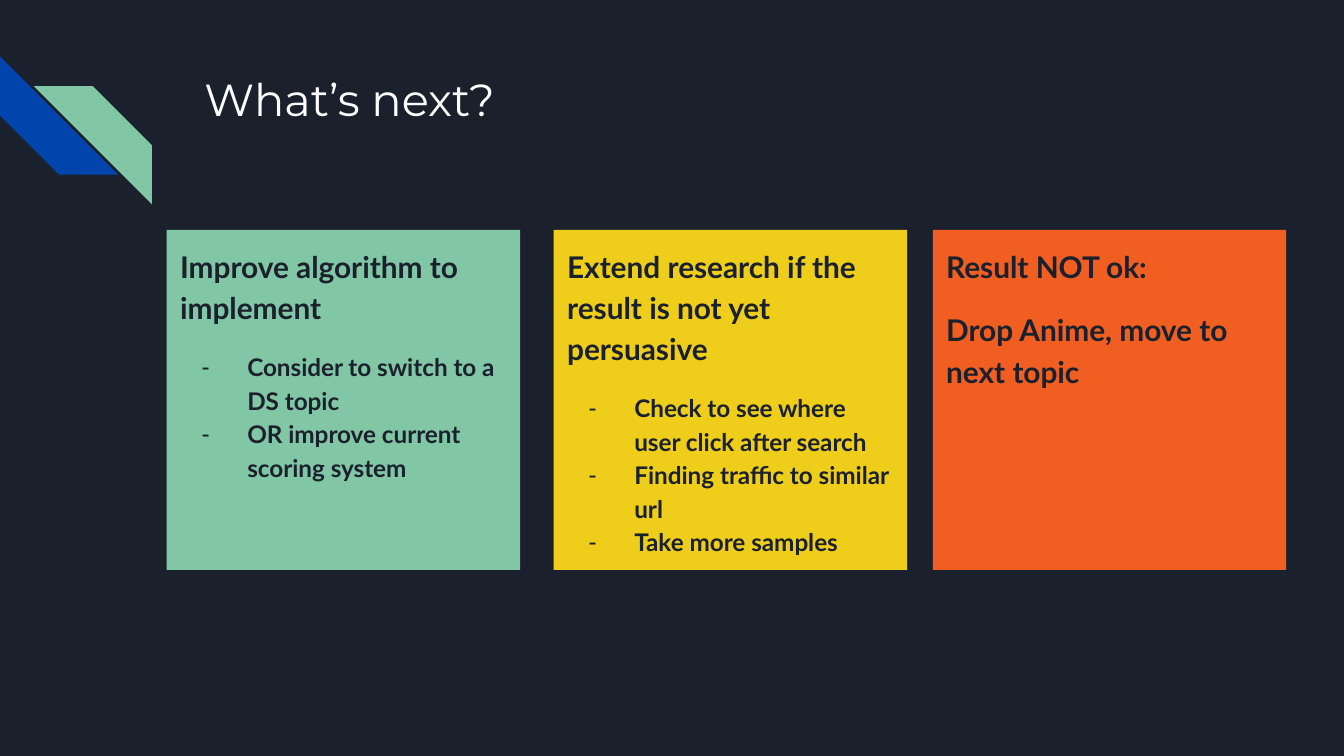
from lxml import etree
from pptx import Presentation
from pptx.dml.color import RGBColor
from pptx.enum.shapes import MSO_SHAPE
from pptx.enum.text import MSO_ANCHOR, MSO_AUTO_SIZE, PP_ALIGN
from pptx.oxml.ns import qn
from pptx.util import Inches, Pt

STRIPE = MSO_SHAPE.DIAGONAL_STRIPE
TOP, LEFT, NO_FIT = MSO_ANCHOR.TOP, PP_ALIGN.LEFT, MSO_AUTO_SIZE.NONE

COLORS = {
    "ink": "1B212C", "white": "FFFFFF", "blue": "0145AC",
    "green": "82C7A5", "yellow": "EECE1A", "orange": "F15E22",
}
WIDTH = 10
HEIGHT = WIDTH * 9 / 16
COMPARISON_LAYOUT = 4
CARD_TOP, CARD_WIDTH, CARD_HEIGHT = 1.71, 2.63, 2.53

# Each card: left edge, fill, headings, list items
CARDS = [
    (1.24, "green", ["Improve algorithm to implement"],
     ["Consider to switch to a DS topic", "OR improve current scoring system"]),
    (4.12, "yellow", ["Extend research if the result is not yet persuasive"],
     ["Check to see where user click after search",
      "Finding traffic to similar url", "Take more samples"]),
    (6.94, "orange", ["Result NOT ok:", "Drop Anime, move to next topic"], []),
]


def rgb(name):
    return RGBColor.from_string(COLORS[name])


def paint(shape, color):
    shape.fill.solid()
    shape.fill.fore_color.rgb = rgb(color)
    shape.line.fill.background()


def place(holder, box):
    """Moves a placeholder to a box in inches and returns its text frame."""
    holder.left, holder.top, holder.width, holder.height = map(Inches, box)
    frame = holder.text_frame
    frame.word_wrap = True
    frame.auto_size = NO_FIT
    frame.vertical_anchor = TOP
    frame.margin_left = frame.margin_right = Inches(0.1)
    frame.margin_top = frame.margin_bottom = Inches(0.1)
    return frame


def write(paragraph, text, size, font, color, bold):
    paragraph.alignment = LEFT
    run = paragraph.add_run()
    run.text = text
    run.font.size = Pt(size)
    run.font.name = font
    run.font.bold = bold
    run.font.color.rgb = rgb(color)


def set_bullet(paragraph, dash):
    """Gives the paragraph a hanging dash, or no bullet; call after spacing."""
    props = paragraph._p.get_or_add_pPr()
    props.set("marL", str(Inches(0.5 if dash else 0)))
    props.set("indent", str(Inches(-0.34 if dash else 0)))
    if dash:
        bullet_color = etree.SubElement(props, qn("a:buClr"))
        etree.SubElement(bullet_color, qn("a:srgbClr"), val=COLORS["ink"])
        etree.SubElement(props, qn("a:buChar"), char="-")
    else:
        etree.SubElement(props, qn("a:buNone"))


def add_stripes(slide, box):
    """Two facing diagonal stripes in opposite corners of the box."""
    left, top, width, height, side = box
    corners = (("blue", left, top, 270),
               ("green", left + width - side, top + height - side, 90))
    for color, x, y, turn in corners:
        stripe = slide.shapes.add_shape(
            STRIPE, Inches(x), Inches(y), Inches(side), Inches(side))
        stripe.rotation = turn
        stripe.shadow.inherit = False
        paint(stripe, color)


def fill_title(holder, box, text):
    frame = place(holder, box)
    write(frame.paragraphs[0], text, 24, "Montserrat", "white", False)


def fill_card(holder, box, color, headings, items):
    frame = place(holder, box)
    paint(holder, color)
    lines = [(text, False) for text in headings] + [(text, True) for text in items]
    for number, (text, dash) in enumerate(lines):
        paragraph = frame.add_paragraph() if number else frame.paragraphs[0]
        paragraph.line_spacing = 1.15
        paragraph.space_before = Pt(12 if number == 1 else 0)
        paragraph.space_after = Pt(12 if number == 1 and not dash else 0)
        set_bullet(paragraph, dash)
        write(paragraph, text, 13 if dash else 16, "Lato", "ink", True)


def main():
    deck = Presentation()
    deck.slide_width, deck.slide_height = Inches(WIDTH), Inches(HEIGHT)
    slide = deck.slides.add_slide(deck.slide_layouts[COMPARISON_LAYOUT])
    slide.background.fill.solid()
    slide.background.fill.fore_color.rgb = rgb("ink")

    title, *bodies = list(slide.placeholders)
    add_stripes(slide, (0, 0.42, 1.13, 1.1, 0.88))
    fill_title(title, (1.42, 0.43, 7.7, 1), "What’s next?")
    for holder, (left, color, headings, items) in zip(bodies, CARDS):
        box = (left, CARD_TOP, CARD_WIDTH, CARD_HEIGHT)
        fill_card(holder, box, color, headings, items)
    for unused in bodies[len(CARDS):]:
        unused.element.getparent().remove(unused.element)
    deck.save("out.pptx")


if __name__ == "__main__":
    main()
